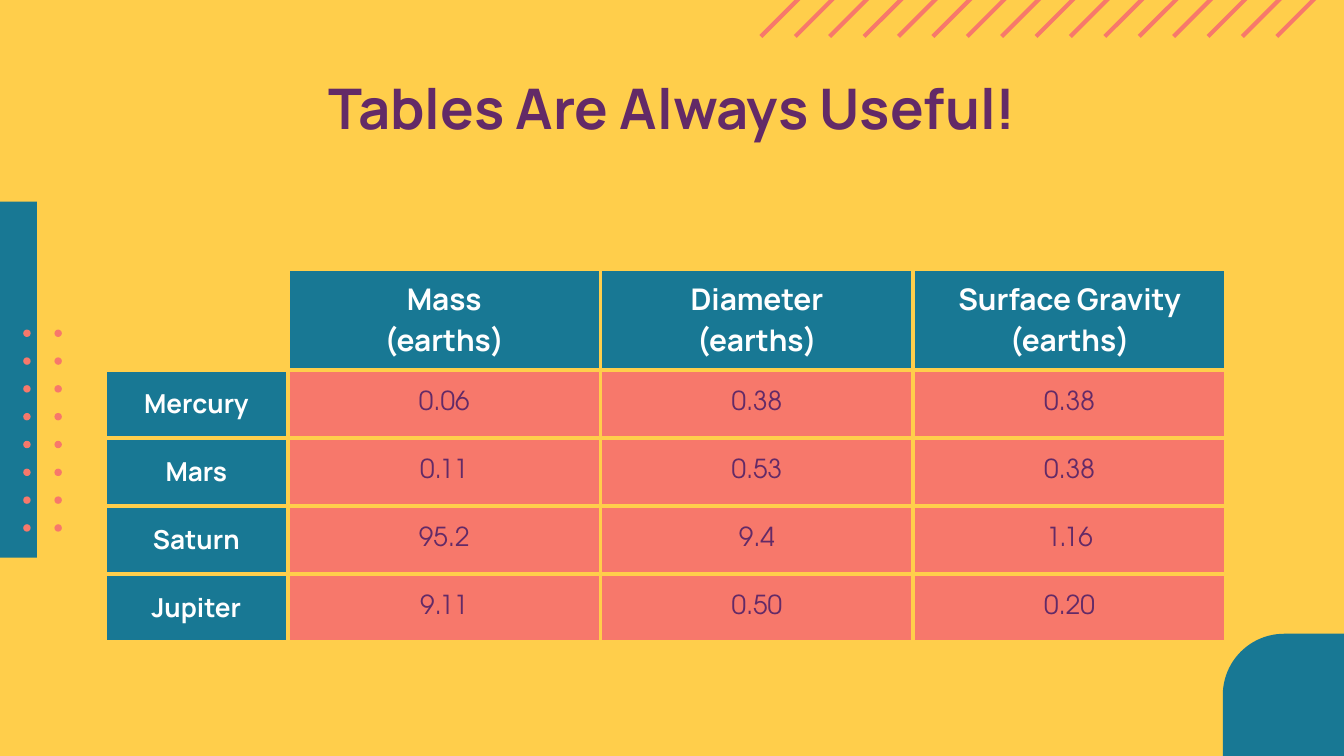
from dataclasses import dataclass

from lxml.etree import SubElement
from pptx import Presentation
from pptx.dml.color import RGBColor
from pptx.enum.shapes import MSO_CONNECTOR, MSO_SHAPE
from pptx.enum.text import MSO_ANCHOR, PP_ALIGN
from pptx.oxml import parse_xml
from pptx.oxml.ns import nsdecls, qn
from pptx.slide import Slide
from pptx.table import _Cell
from pptx.text.text import TextFrame
from pptx.util import Cm, Pt

YELLOW, CORAL, TEAL = "FFCE4B", "F7786B", "187894"
PURPLE, WHITE = "632A67", "FFFFFF"
HEAD_FONT, BODY_FONT = "Manrope", "TeX Gyre Adventor"
LINE_WIDTH = 2.25


@dataclass
class Block:
    shape: MSO_SHAPE
    left: float
    top: float
    width: float
    height: float
    color: str
    adjustments: tuple[float, ...] = ()


@dataclass
class Planet:
    name: str
    mass: str
    diameter: str
    gravity: str


HEADINGS = ("Mass\n(earths)", "Diameter\n(earths)", "Surface Gravity\n(earths)")
PLANETS = (
    Planet("Mercury", "0.06", "0.38", "0.38"),
    Planet("Mars", "0.11", "0.53", "0.38"),
    Planet("Saturn", "95.2", "9.4", "1.16"),
    Planet("Jupiter", "9.11", "0.50", "0.20"),
)


def rgb(color: str) -> RGBColor:
    return RGBColor.from_string(color)


def write(tf: TextFrame, text: str, *, size: float, color: str = WHITE,
          font: str = HEAD_FONT, bold: bool = True) -> None:
    tf.word_wrap = True
    for i, line in enumerate(text.split("\n")):
        p = tf.add_paragraph() if i else tf.paragraphs[0]
        p.alignment = PP_ALIGN.CENTER
        r = p.add_run()
        r.text = line
        r.font.size = Pt(size)
        r.font.name = font
        r.font.bold = bold
        r.font.color.rgb = rgb(color)


def draw_block(s: Slide, b: Block) -> None:
    sp = s.shapes.add_shape(b.shape, Cm(b.left), Cm(b.top), Cm(b.width), Cm(b.height))
    for i, value in enumerate(b.adjustments):
        sp.adjustments[i] = value
    sp.shadow.inherit = False
    sp.fill.solid()
    sp.fill.fore_color.rgb = rgb(b.color)
    sp.line.fill.background()


def draw_stripe(s: Slide, left: float) -> None:
    line = s.shapes.add_connector(
        MSO_CONNECTOR.STRAIGHT, Cm(left), Cm(0.69), Cm(left + 1.3), Cm(-0.61))
    line.line.color.rgb = rgb(CORAL)
    line.line.width = Pt(LINE_WIDTH)
    SubElement(line._element.spPr, qn("a:effectLst"))


def format_cell(cell: _Cell, fill: str | None) -> None:
    cell.vertical_anchor = MSO_ANCHOR.MIDDLE
    cell.margin_left = cell.margin_right = Cm(0.25)
    cell.margin_top = cell.margin_bottom = Cm(0.18)
    if fill:
        cell.fill.solid()
        cell.fill.fore_color.rgb = rgb(fill)
    else:
        cell.fill.background()
    tcPr = cell._tc.get_or_add_tcPr()
    for i, side in enumerate("LRTB"):
        tcPr.insert(i, parse_xml(
            f'<a:ln{side} {nsdecls("a")} w="{Pt(LINE_WIDTH)}"><a:solidFill>'
            f'<a:srgbClr val="{YELLOW}"/></a:solidFill></a:ln{side}>'))


def draw_table(s: Slide) -> None:
    widths = [3.46] + [5.91] * len(HEADINGS)
    heights = [1.91] + [1.285] * len(PLANETS)
    table = s.shapes.add_table(
        len(heights), len(widths), Cm(1.98), Cm(5.08),
        Cm(sum(widths)), Cm(sum(heights))).table
    table.first_row = table.horz_banding = False
    for col, width in zip(table.columns, widths):
        col.width = Cm(width)
    for row, height in zip(table.rows, heights):
        row.height = Cm(height)

    format_cell(table.cell(0, 0), None)
    for j, heading in enumerate(HEADINGS, 1):
        cell = table.cell(0, j)
        format_cell(cell, TEAL)
        write(cell.text_frame, heading, size=16)
    for i, planet in enumerate(PLANETS, 1):
        name = table.cell(i, 0)
        format_cell(name, TEAL)
        write(name.text_frame, planet.name, size=14)
        for j, value in enumerate((planet.mass, planet.diameter, planet.gravity), 1):
            cell = table.cell(i, j)
            format_cell(cell, CORAL)
            write(cell.text_frame, value, size=14, color=PURPLE,
                  font=BODY_FONT, bold=False)


def draw_title(s: Slide) -> None:
    title = s.shapes.title
    title.left, title.top = Cm(2), Cm(1.14)
    title.width, title.height = Cm(21.41), Cm(2.26)
    tf = title.text_frame
    tf.vertical_anchor = MSO_ANCHOR.TOP
    tf.margin_left = tf.margin_right = tf.margin_top = tf.margin_bottom = Cm(0.25)
    write(tf, "Tables Are Always Useful!", size=30, color=PURPLE)


def main() -> None:
    prs = Presentation()
    prs.slide_width, prs.slide_height = Cm(25.4), Cm(14.29)
    s = prs.slides.add_slide(prs.slide_layouts[5])
    s.background.fill.solid()
    s.background.fill.fore_color.rgb = rgb(YELLOW)

    for i in range(16):
        draw_stripe(s, 14.38 + 0.65 * i)
    draw_block(s, Block(MSO_SHAPE.RECTANGLE, -1.04, 3.81, 1.74, 6.73, TEAL))
    for left in (1.03, 0.44):
        for i in range(8):
            draw_block(s, Block(MSO_SHAPE.OVAL, left, 6.23 + 3.68 * i / 7, 0.14, 0.14, CORAL))
    draw_block(s, Block(MSO_SHAPE.ROUND_2_SAME_RECTANGLE,
                        23.11, 11.98, 4.64, 2.32, TEAL, (0.5, 0)))
    draw_table(s)
    draw_title(s)
    prs.save("out.pptx")


if __name__ == "__main__":
    main()
